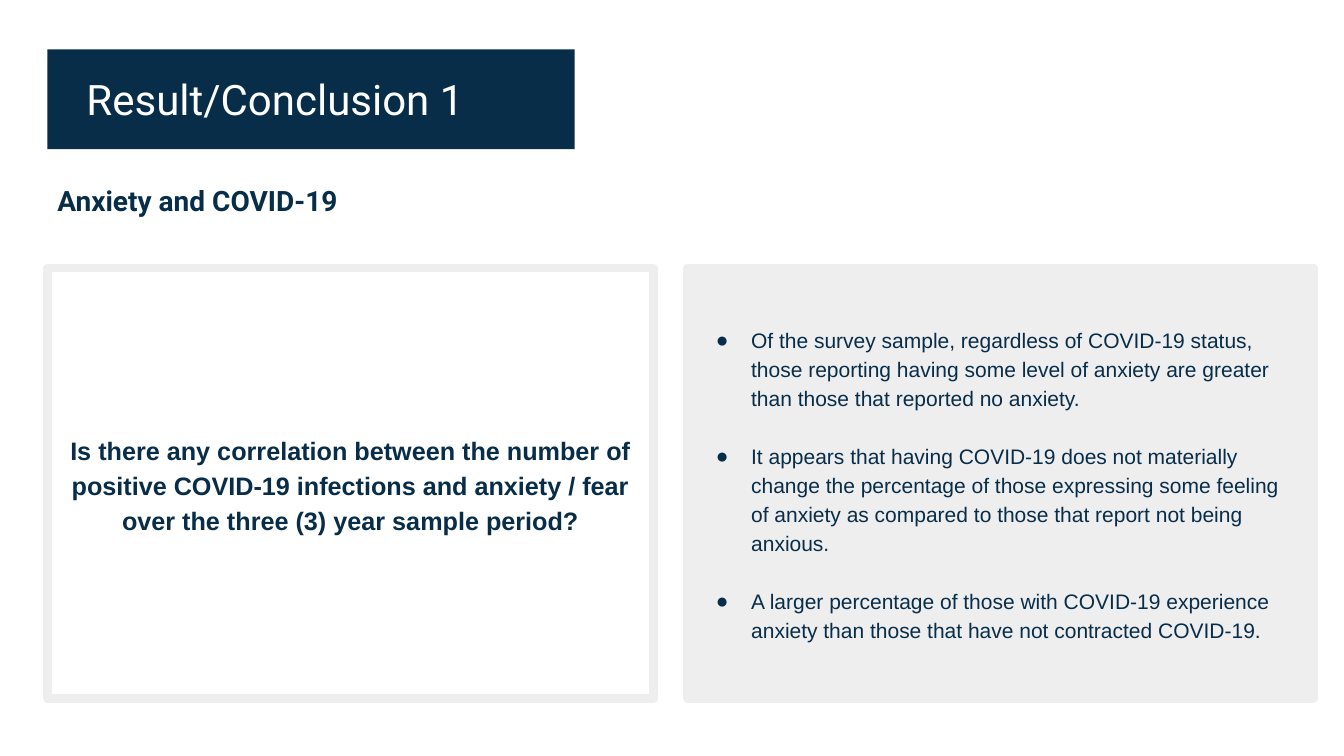
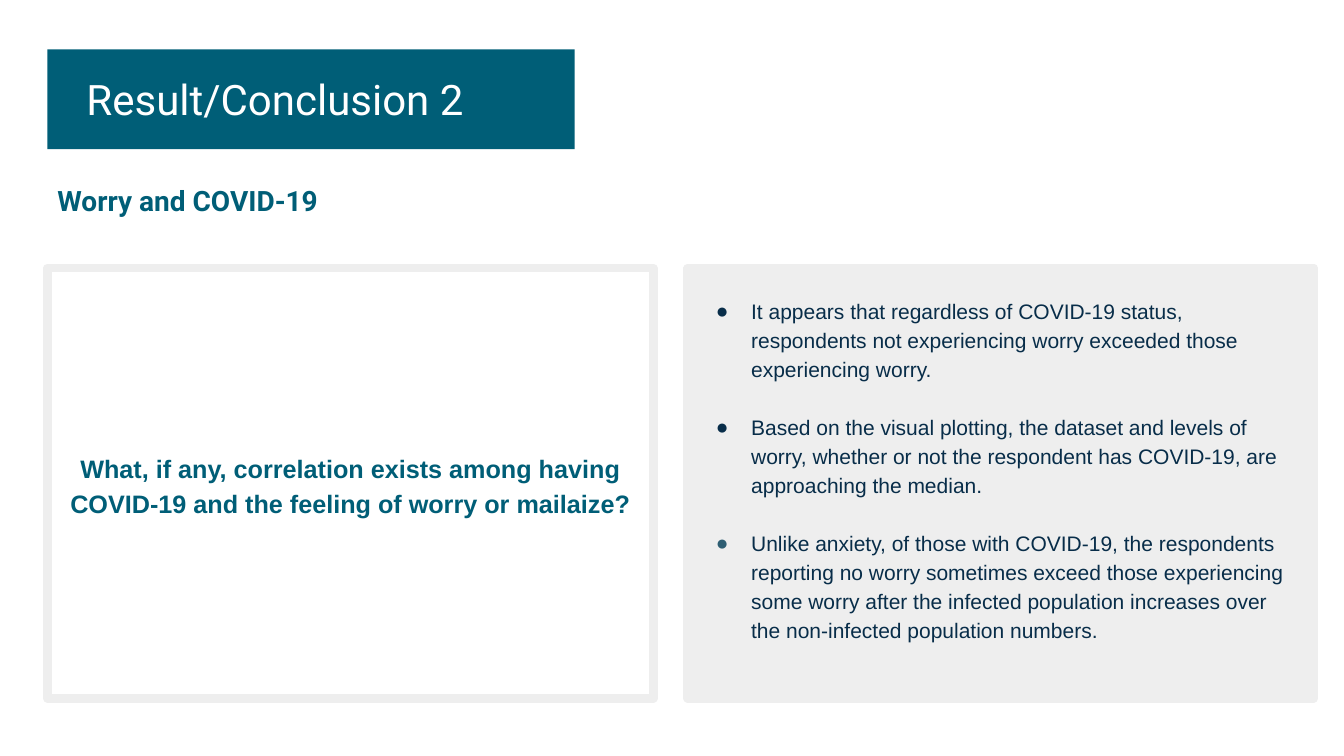
from lxml import etree
from pptx import Presentation
from pptx.dml.color import RGBColor
from pptx.enum.shapes import MSO_SHAPE
from pptx.enum.text import MSO_ANCHOR, PP_ALIGN
from pptx.oxml.ns import qn
from pptx.util import Inches, Pt

NAVY, TEAL, SLATE = "082D49", "005E77", "2E5E73"
WHITE, GREY = "FFFFFF", "EEEEEE"
LEFT = 0.47
PANEL_TOP, PANEL_HEIGHT = 2.66, 4.27

SLIDES = [
    {
        "title": "Result/Conclusion 1",
        "topic": "Anxiety and COVID-19",
        "accent": NAVY,
        "question": "Is there any correlation between the number of positive COVID-19 "
                    "infections and anxiety / fear over the three (3) year sample period?",
        "findings": [
            ("Of the survey sample, regardless of COVID-19 status, those reporting having "
             "some level of anxiety are greater than those that reported no anxiety.", NAVY),
            ("It appears that having COVID-19 does not materially change the percentage of "
             "those expressing some feeling of anxiety as compared to those that report "
             "not being anxious.", NAVY),
            ("A larger percentage of those with COVID-19 experience anxiety than those "
             "that have not contracted COVID-19.", NAVY),
        ],
        "bottom_inset": 0.13,
    },
    {
        "title": "Result/Conclusion 2",
        "topic": "Worry and COVID-19",
        "accent": TEAL,
        "question": "What, if any, correlation exists among having COVID-19 and the feeling "
                    "of worry or mailaize?",
        "findings": [
            ("It appears that regardless of COVID-19 status, respondents not experiencing "
             "worry exceeded those experiencing worry.", NAVY),
            ("Based on the visual plotting, the dataset and levels of worry, whether or not "
             "the respondent has COVID-19, are approaching the median.", NAVY),
            ("Unlike anxiety, of those with COVID-19, the respondents reporting no worry "
             "sometimes exceed those experiencing some worry after the infected population "
             "increases over the non-infected population numbers.", SLATE),
        ],
        "bottom_inset": 0.42,
    },
]


def rgb(value):
    return RGBColor.from_string(value)


def add_box(s, at, fill=None, line=None, inset=0.1, anchor=MSO_ANCHOR.MIDDLE):
    """Add a rectangle, or a plain text box when no fill is given."""
    at = [Inches(v) for v in at]
    if fill:
        sp = s.shapes.add_shape(MSO_SHAPE.RECTANGLE, *at)
        sp.shadow.inherit = False
        sp.fill.solid()
        sp.fill.fore_color.rgb = rgb(fill)
        if line:
            sp.line.color.rgb = rgb(line)
            sp.line.width = Pt(6)
        else:
            sp.line.fill.background()
    else:
        sp = s.shapes.add_textbox(*at)
    tf = sp.text_frame
    tf.word_wrap = True
    tf.vertical_anchor = anchor
    tf.margin_left = tf.margin_right = tf.margin_top = tf.margin_bottom = Inches(inset)
    return sp


prs = Presentation()
prs.slide_width, prs.slide_height = Inches(13.33), Inches(7.5)

for content in SLIDES:
    s = prs.slides.add_slide(prs.slide_layouts[6])
    accent = content["accent"]

    question = add_box(s, (LEFT, PANEL_TOP, 6.01, PANEL_HEIGHT), WHITE, GREY, 0.13)
    add_box(s, (LEFT, 0.49, 5.23, 0.99), accent)
    title = add_box(s, (0.76, 0.87, 4.56, 0.22))
    topic = add_box(s, (LEFT, 1.76, 2.98, 0.5), WHITE, WHITE, anchor=MSO_ANCHOR.TOP)
    findings = add_box(s, (6.82, PANEL_TOP, 6.21, PANEL_HEIGHT), GREY, GREY, 0.13)

    for sp, text, font, size, color, bold, align, spacing in [
        (question, content["question"], "Arial", 18, accent, True, PP_ALIGN.CENTER, 1.15),
        (title, content["title"], "Roboto", 30, WHITE, False, PP_ALIGN.LEFT, 1),
        (topic, content["topic"], "Roboto", 20, accent, True, PP_ALIGN.LEFT, 0.9),
    ]:
        p = sp.text_frame.paragraphs[0]
        p.text = text
        p.alignment = align
        p.line_spacing = spacing
        f = p.runs[0].font
        f.name, f.size, f.bold = font, Pt(size), bold
        f.color.rgb = rgb(color)

    tf = findings.text_frame
    tf.margin_bottom = Inches(content["bottom_inset"])
    for i, (text, bullet_color) in enumerate(content["findings"]):
        p = tf.add_paragraph() if i else tf.paragraphs[0]
        p.text = text
        p.alignment = PP_ALIGN.LEFT
        p.line_spacing = 1.15
        if i:
            p.space_before = Pt(20.7)
        pPr = p._p.get_or_add_pPr()
        pPr.set("marL", str(Inches(0.5)))
        pPr.set("indent", str(Inches(-0.35)))
        buClr = etree.SubElement(pPr, qn("a:buClr"))
        etree.SubElement(buClr, qn("a:srgbClr"), val=bullet_color)
        etree.SubElement(pPr, qn("a:buFont"), typeface="Arial")
        etree.SubElement(pPr, qn("a:buChar"), char="●")
        f = p.runs[0].font
        f.name, f.size = "Arial", Pt(15)
        f.color.rgb = rgb(NAVY)

prs.save("out.pptx")
